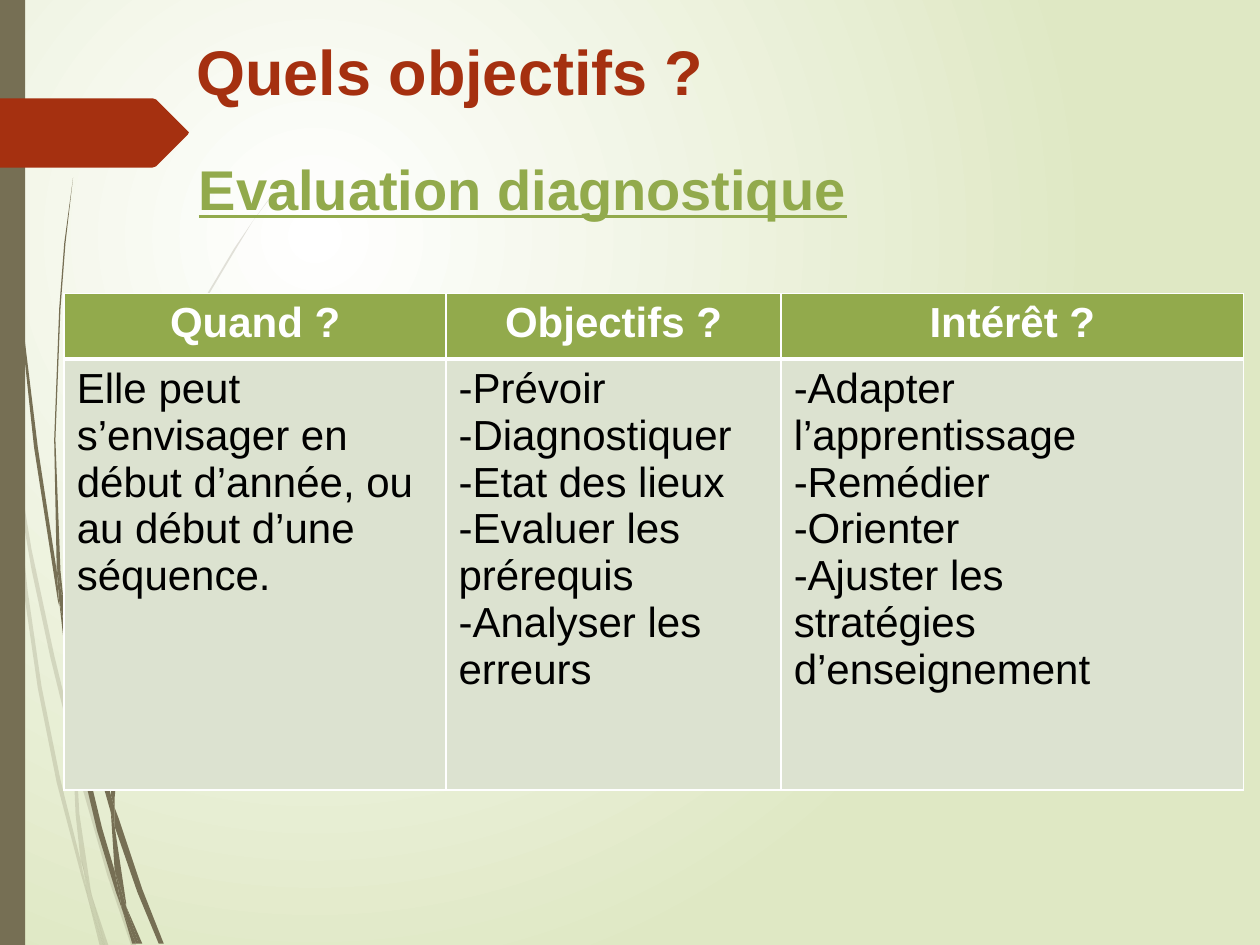
from lxml import etree
from pptx import Presentation
from pptx.dml.color import RGBColor
from pptx.enum.shapes import MSO_SHAPE
from pptx.enum.text import MSO_AUTO_SIZE, PP_ALIGN
from pptx.oxml.ns import qn
from pptx.util import Inches, Pt

FONT = "Arial"
COLORS = {"white": "FFFFFF", "black": "000000", "pale": "DFE8C4", "brown": "766F54",
          "rust": "A53010", "olive": "92AA4C", "sage": "DCE2D0"}

# Content: text, left, top, width, height, size, colour, underline
HEADINGS = [
    ("Quels objectifs ?", 1.46, 0.21, 8.11, 0.71, 36, "rust", False),
    ("Evaluation diagnostique", 1.48, 1.18, 6.77, 0.64, 32, "olive", True),
]
COLUMNS = [
    ("Quand ?", 3.03,
     ["Elle peut s’envisager en début d’année, ou au début d’une séquence."]),
    ("Objectifs ?", 2.66,
     ["-Prévoir", "-Diagnostiquer", "-Etat des lieux", "-Evaluer les prérequis",
      "-Analyser les erreurs"]),
    ("Intérêt ?", 3.67,
     ["-Adapter l’apprentissage", "-Remédier", "-Orienter", "-Ajuster les",
      "stratégies d’enseignement"]),
]
TABLE_LEFT, TABLE_TOP = 0.51, 2.33
ROW_HEIGHTS = (0.52, 3.42)

# Grass blades: outline points in inches
PALE_BLADES = [
    [(0.08, 3.5), (0.06, 3.22), (0, 2.82), (0, 2.99), (0.07, 3.44)],
    [(0.4, 5.22), (0.59, 5.99), (0.59, 5.86), (0.43, 5.2), (0.25, 4.36), (0.1, 3.45),
     (0.12, 3.76), (0.25, 4.52)],
    [(0.64, 6.07), (0.61, 5.96), (0.61, 6.1), (0.85, 6.94), (1.04, 7.5), (1.08, 7.5),
     (0.88, 6.92)],
    [(0.83, 7.5), (0.86, 7.5), (0.73, 7.11)],
    [(0.64, 6.83), (0.48, 6.19), (0.33, 5.45), (0.22, 4.69), (0.12, 3.76), (0.08, 3.5),
     (0.19, 4.7), (0.3, 5.46), (0.45, 6.21), (0.64, 6.93), (0.7, 7.14), (0.69, 7.07)],
    [(0.58, 5.99), (0.6, 6.46), (0.64, 6.83), (0.67, 6.92), (0.73, 7.11), (0.72, 7.06),
     (0.63, 6.46), (0.61, 6.1)],
    [(0.61, 5.84), (0.65, 5.22), (0.76, 4.62), (0.92, 4.04), (1.11, 3.49), (1.34, 2.95),
     (1.59, 2.45), (1.87, 1.98), (2.01, 1.75), (2.17, 1.54), (2.17, 1.53), (2.01, 1.75),
     (1.86, 1.97), (1.58, 2.44), (1.33, 2.94), (1.1, 3.48), (0.9, 4.03), (0.75, 4.61),
     (0.63, 5.22), (0.59, 5.84), (0.61, 5.96)],
    [(0.7, 7.14), (0.79, 7.5), (0.82, 7.5)],
    [(0.61, 6.1), (0.61, 5.96), (0.59, 5.86), (0.58, 5.99)],
    [(0.67, 6.92), (0.65, 6.83), (0.7, 7.14), (0.82, 7.5), (0.83, 7.5), (0.73, 7.11)],
]
DARK_BLADES = [
    [(0.05, 1.1), (0.14, 2.33), (0.27, 3.55), (0.46, 4.77), (0.47, 4.81), (0.45, 4.53),
     (0.3, 3.55), (0.15, 2.32), (0.06, 1.09), (0.04, 0.48), (0.03, 0), (0.02, 0),
     (0.03, 0.48)],
    [(0.73, 5.92), (0.88, 6.45), (0.88, 6.31), (0.77, 5.9), (0.62, 5.32), (0.5, 4.72),
     (0.53, 5.05), (0.62, 5.49)],
    [(0.94, 6.49), (0.91, 6.41), (0.91, 6.56), (1.09, 7.08), (1.26, 7.49), (1.3, 7.49),
     (1.13, 7.06)],
    [(0.91, 6.91), (0.81, 6.57), (0.69, 6.07), (0.6, 5.56), (0.53, 5.05), (0.47, 4.77),
     (0.56, 5.57), (0.65, 6.08), (0.77, 6.59), (0.92, 7.08), (0.97, 7.22), (0.96, 7.17)],
    [(0.5, 4.72), (0.48, 4.53), (0.44, 3.49), (0.48, 2.45), (0.52, 1.93), (0.58, 1.41),
     (0.51, 1.93), (0.47, 2.45), (0.43, 3.49), (0.45, 4.49), (0.49, 4.72)],
    [(1.1, 7.49), (1.13, 7.49), (1, 7.19)],
    [(0.47, 4.77), (0.53, 5.05), (0.5, 4.72), (0.49, 4.72), (0.45, 4.49), (0.45, 4.53)],
    [(0.91, 6.33), (0.95, 5.92), (1.03, 5.52), (1.16, 5.13), (1.31, 4.76), (1.49, 4.4),
     (1.69, 4.06), (1.91, 3.74), (2.03, 3.59), (2.16, 3.44), (2.15, 3.44), (2.03, 3.58),
     (1.91, 3.73), (1.68, 4.05), (1.47, 4.39), (1.29, 4.74), (1.13, 5.12), (1.01, 5.51),
     (0.92, 5.91), (0.88, 6.31), (0.91, 6.41)],
    [(0.97, 7.22), (1.05, 7.49), (1.08, 7.49)],
    [(0.88, 6.45), (0.91, 6.91), (0.96, 7.06), (1, 7.19), (1, 7.16), (0.91, 6.56)],
    [(0.88, 6.45), (0.91, 6.56), (0.91, 6.41), (0.88, 6.31)],
    [(0.96, 7.06), (0.91, 6.91), (0.97, 7.22), (1.08, 7.49), (1.1, 7.49), (1, 7.19)],
]
ARROW = [(0, 0.78), (1.21, 0.78), (1.24, 0.79), (1.49, 1.04), (1.5, 1.05), (1.49, 1.07),
         (1.24, 1.32), (1.21, 1.33), (0, 1.33)]


def rgb(color):
    return RGBColor.from_string(COLORS[color])


def paint(shape, color, opacity=100):
    shape.shadow.inherit = False
    shape.fill.solid()
    shape.fill.fore_color.rgb = rgb(color)
    shape.line.fill.background()
    if opacity < 100:
        fill_color = shape.element.spPr.find(qn("a:solidFill"))[0]
        etree.SubElement(fill_color, qn("a:alpha"), val=str(opacity * 1000))


def add_outline(slide, points, color, opacity=100):
    start, *rest = [(Inches(x), Inches(y)) for x, y in points]
    builder = slide.shapes.build_freeform(*start)
    builder.add_line_segments(rest, close=True)
    paint(builder.convert_to_shape(), color, opacity)


def style_text(paragraph, size, color, bold, underline=False):
    for run in paragraph.runs:
        run.font.name = FONT
        run.font.size = Pt(size)
        run.font.bold = bold
        run.font.underline = underline
        run.font.color.rgb = rgb(color)


def set_borders(cell, **widths):
    properties = cell._tc.get_or_add_tcPr()
    for index, side in enumerate("LRTB"):
        border = etree.Element(qn(f"a:ln{side}"), w=str(Pt(widths.get(side, 1))))
        fill = etree.SubElement(border, qn("a:solidFill"))
        etree.SubElement(fill, qn("a:srgbClr"), val=COLORS["white"])
        properties.insert(index, border)


def fill_cell(cell, lines, fill, color, bold, align, **widths):
    cell.fill.solid()
    cell.fill.fore_color.rgb = rgb(fill)
    cell.text_frame.text = "\n".join(lines)
    for paragraph in cell.text_frame.paragraphs:
        paragraph.alignment = align
        style_text(paragraph, 24, color, bold)
    set_borders(cell, **widths)


def set_background(slide):
    fill = slide.background.fill
    fill.gradient()
    for stop, color, position in zip(fill.gradient_stops, ("white", "pale"), (0, 1)):
        stop.color.rgb = rgb(color)
        stop.position = position
    gradient = slide.element.find(".//" + qn("a:gradFill"))
    gradient.remove(gradient.find(qn("a:lin")))
    circle = etree.Element(qn("a:path"), path="circle")
    etree.SubElement(circle, qn("a:fillToRect"), l="50000", t="50000", r="100000", b="100000")
    gradient.find(qn("a:gsLst")).addnext(circle)


def main():
    deck = Presentation()
    deck.slide_width, deck.slide_height = Inches(10), Inches(7.5)
    slide = deck.slides.add_slide(deck.slide_layouts[6])

    # Backdrop
    set_background(slide)
    for blade in PALE_BLADES:
        add_outline(slide, blade, "brown", 20)
    for blade in DARK_BLADES:
        add_outline(slide, blade, "brown")
    side_bar = slide.shapes.add_shape(MSO_SHAPE.RECTANGLE, 0, 0, Inches(0.2), deck.slide_height)
    paint(side_bar, "brown")
    add_outline(slide, ARROW, "rust")

    # Headings
    for text, left, top, width, height, size, color, underline in HEADINGS:
        heading = slide.shapes.add_textbox(*map(Inches, (left, top, width, height)))
        frame = heading.text_frame
        frame.word_wrap = True
        frame.auto_size = MSO_AUTO_SIZE.SHAPE_TO_FIT_TEXT
        frame.text = text
        style_text(frame.paragraphs[0], size, color, True, underline)

    # Table
    table_width = sum(width for _, width, _ in COLUMNS)
    evaluation = slide.shapes.add_table(
        len(ROW_HEIGHTS), len(COLUMNS), Inches(TABLE_LEFT), Inches(TABLE_TOP),
        Inches(table_width), Inches(sum(ROW_HEIGHTS))).table
    for row, height in zip(evaluation.rows, ROW_HEIGHTS):
        row.height = Inches(height)
    for index, (question, width, answers) in enumerate(COLUMNS):
        evaluation.columns[index].width = Inches(width)
        fill_cell(evaluation.cell(0, index), [question], "olive", "white", True,
                  PP_ALIGN.CENTER, B=3)
        fill_cell(evaluation.cell(1, index), answers, "sage", "black", False,
                  PP_ALIGN.LEFT, T=3)

    deck.save("out.pptx")


if __name__ == "__main__":
    main()
